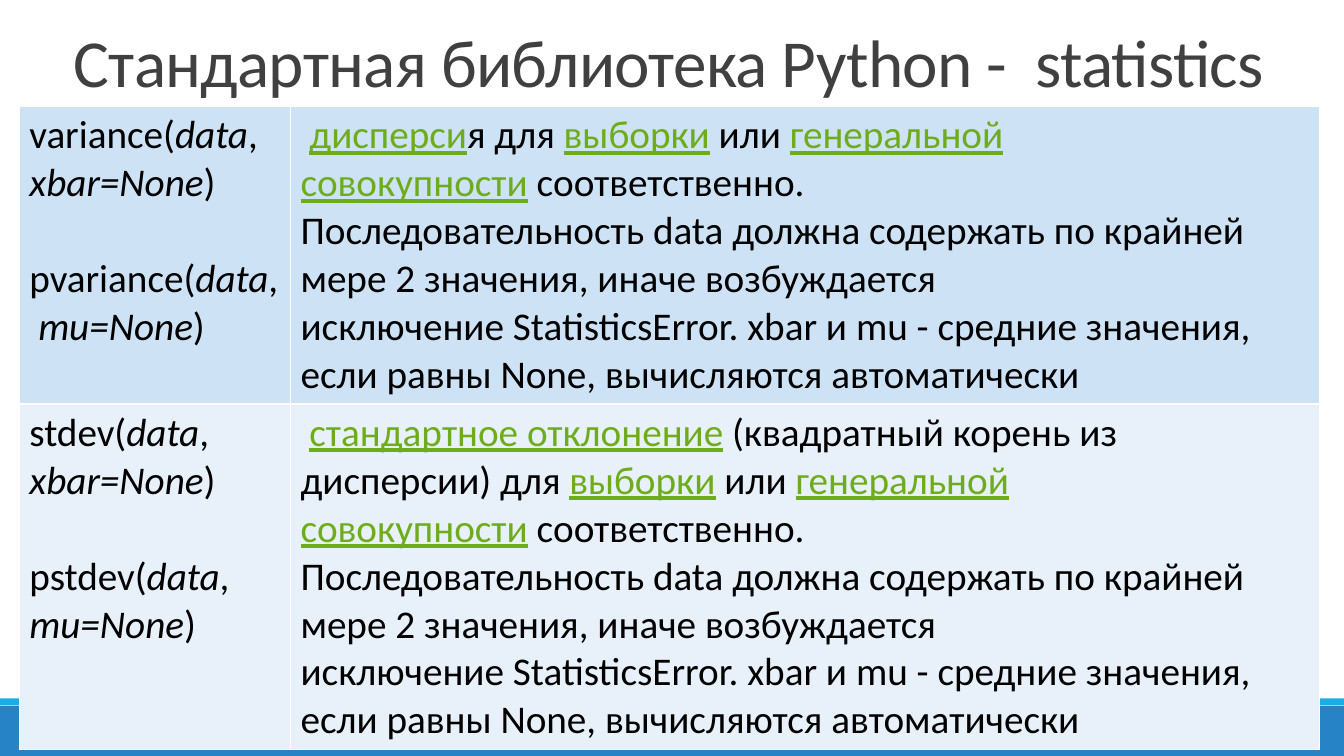
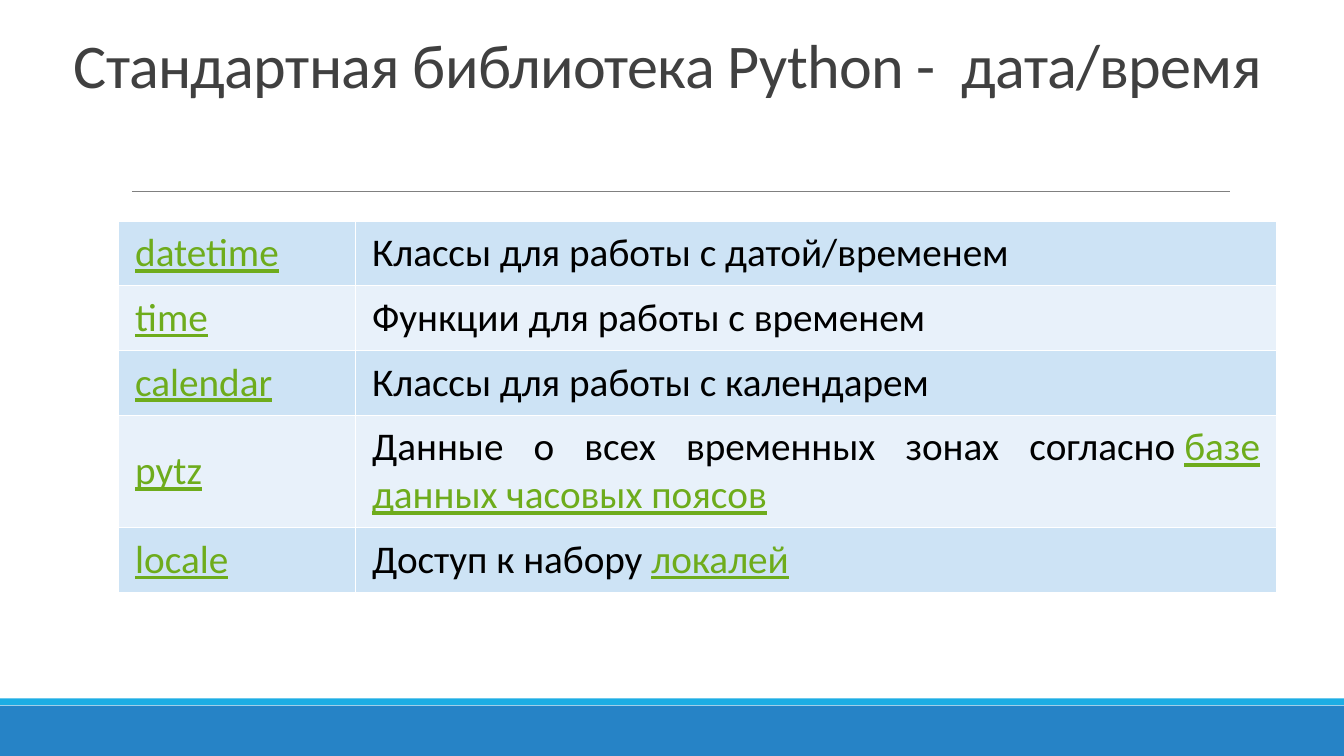
from lxml.etree import SubElement
from pptx import Presentation
from pptx.dml.color import RGBColor
from pptx.enum.shapes import MSO_CONNECTOR as Connector, MSO_SHAPE as Shape
from pptx.enum.text import MSO_ANCHOR as Anchor, PP_ALIGN as Align
from pptx.oxml.ns import qn
from pptx.util import Pt

LINE_HEIGHT = 34.2
HARD = chr(160)


def color(value):
    return RGBColor.from_string(value)


def plain(text):
    return text, "plain"


def argument(text):
    return text, "argument"


def link(text):
    return text, "link"


class Deck:
    width, height = 960, 540
    font = "Calibri"
    ink, title_ink, link_ink = "000000", "404040", "6EAC1C"
    stripe, band, rule_ink = "1CADE4", "2683C6", "808080"
    row_fills = "CDE3F5", "E8F1FA"
    border = "FFFFFF"

    def __init__(self):
        self.deck = Presentation()
        self.deck.slide_width = Pt(self.width)
        self.deck.slide_height = Pt(self.height)
        self.page = None

    def add_page(self, topic, size):
        self.page = self.deck.slides.add_slide(self.deck.slide_layouts[5])
        self.add_band(504, 36, self.band)
        self.add_band(498.8, 5, self.stripe)
        self.add_rule(94.3, 878.8, 136.8)
        box = self.page.shapes.title
        box.left, box.top, box.width, box.height = Pt(45.4), Pt(14.2), Pt(867), Pt(62)
        frame = box.text_frame
        frame.word_wrap = True
        frame.vertical_anchor = Anchor.BOTTOM
        para = frame.paragraphs[0]
        para.alignment = Align.LEFT
        para.line_spacing = 0.85
        title = f"Стандартная библиотека Python - {HARD}{topic}"
        span = self.add_span(para, title, size, self.title_ink)
        span.font._element.set("spc", "-50")

    def add_band(self, top, height, fill):
        band = self.page.shapes.add_shape(
            Shape.RECTANGLE, Pt(0), Pt(top), Pt(self.width), Pt(height))
        band.shadow.inherit = False
        band.fill.solid()
        band.fill.fore_color.rgb = color(fill)
        band.line.fill.background()

    def add_rule(self, left, right, top):
        rule = self.page.shapes.add_connector(
            Connector.STRAIGHT, Pt(left), Pt(top), Pt(right), Pt(top))
        rule.line.color.rgb = color(self.rule_ink)
        rule.line.width = Pt(0.5)
        SubElement(rule._element.spPr, qn("a:effectLst"))

    def add_span(self, para, text, size, ink):
        span = para.add_run()
        span.text = text
        span.font.name = self.font
        span.font.size = Pt(size)
        span.font.color.rgb = color(ink)
        return span

    def add_table(self, left, top, widths, heights, rows, margins=(7.2, 3.6),
                  anchor=Anchor.TOP, align=Align.LEFT):
        table = self.page.shapes.add_table(
            len(rows), len(widths), Pt(left), Pt(top),
            Pt(sum(widths)), Pt(sum(heights))).table
        table.first_row = False
        table.horz_banding = False
        for column, width in zip(table.columns, widths):
            column.width = Pt(width)
        for index, (row, height, cells) in enumerate(zip(table.rows, heights, rows)):
            row.height = Pt(height)
            for cell, paragraphs in zip(row.cells, cells):
                cell.margin_left = cell.margin_right = Pt(margins[0])
                cell.margin_top = cell.margin_bottom = Pt(margins[1])
                cell.vertical_anchor = anchor
                self.style_cell(cell, self.row_fills[index % 2])
                self.fill_cell(cell, paragraphs, align)

    def style_cell(self, cell, fill):
        properties = cell._tc.get_or_add_tcPr()
        for side in ("lnL", "lnR", "lnT", "lnB"):
            line = SubElement(properties, qn(f"a:{side}"), w=str(Pt(1)))
            solid = SubElement(line, qn("a:solidFill"))
            SubElement(solid, qn("a:srgbClr"), val=self.border)
        cell.fill.solid()
        cell.fill.fore_color.rgb = color(fill)

    def fill_cell(self, cell, paragraphs, align):
        frame = cell.text_frame
        for index, (gap, spans) in enumerate(paragraphs):
            para = frame.add_paragraph() if index else frame.paragraphs[0]
            para.alignment = align
            para.space_before = Pt(gap)
            for text, style in spans:
                ink = self.link_ink if style == "link" else self.ink
                span = self.add_span(para, text, 28, ink)
                span.font.italic = style == "argument"
                span.font.underline = style == "link"

    def save(self):
        self.deck.save("out.pptx")


def paragraph(*spans, gap=0):
    return gap, spans


def add_statistics(deck):
    deck.add_page("statistics", 48)
    sample_or_population = [
        link("выборки"), plain(f"{HARD}или{HARD}"),
        link("генеральной совокупности"), plain(f"{HARD}соответственно.")]
    requirement = paragraph(plain(
        f"Последовательность{HARD}data{HARD}должна содержать по крайней мере "
        f"2 значения, иначе возбуждается исключение{HARD}StatisticsError.{HARD}"
        f"xbar{HARD}и{HARD}mu{HARD}- средние значения, если равны{HARD}None, "
        "вычисляются автоматически"))
    xbar = paragraph(argument("xbar=None"), plain(")"))
    mu = argument("mu=None"), plain(")")
    rows = [
        [[paragraph(plain("variance("), argument("data"), plain(",")),
          xbar,
          paragraph(plain("pvariance("), argument("data"), plain(f",{HARD}"), *mu,
                    gap=LINE_HEIGHT)],
         [paragraph(plain(HARD), link("дисперси"), plain(f"я{HARD}для{HARD}"),
                    *sample_or_population),
          requirement]],
        [[paragraph(plain("stdev("), argument("data"), plain(f",{HARD}")),
          xbar,
          paragraph(plain("pstdev("), argument("data"), plain(f",{HARD}"),
                    gap=LINE_HEIGHT),
          paragraph(*mu)],
         [paragraph(plain(HARD), link("стандартное отклонение"),
                    plain(f"{HARD}(квадратный корень из дисперсии) для{HARD}"),
                    *sample_or_population),
          requirement]],
    ]
    heights = [lines * LINE_HEIGHT + 7.2 for lines in (6, 7)]
    deck.add_table(13.8, 76.1, [193.7, 735.1], heights, rows)


def add_date_time(deck):
    deck.add_page("дата/время", 44.4)
    contents = [
        ("datetime", [plain("Классы для работы с датой/временем")]),
        ("time", [plain("Функции для работы с временем")]),
        ("calendar", [plain("Классы для работы с календарем")]),
        ("pytz", [plain(f"Данные о всех временных зонах согласно{HARD}"),
                  link("базе данных часовых поясов")]),
        ("locale", [plain(f"Доступ к набору{HARD}"), link("локалей")]),
    ]
    rows = [[[paragraph(link(name))], [paragraph(*about)]]
            for name, about in contents]
    heights = [lines * LINE_HEIGHT + 12 for lines in (1, 1, 1, 2, 1)]
    deck.add_table(84.6, 158, [169.2, 658.2], heights, rows, margins=(12, 6),
                   anchor=Anchor.MIDDLE, align=Align.JUSTIFY)


def main():
    deck = Deck()
    add_statistics(deck)
    add_date_time(deck)
    deck.save()


if __name__ == "__main__":
    main()
